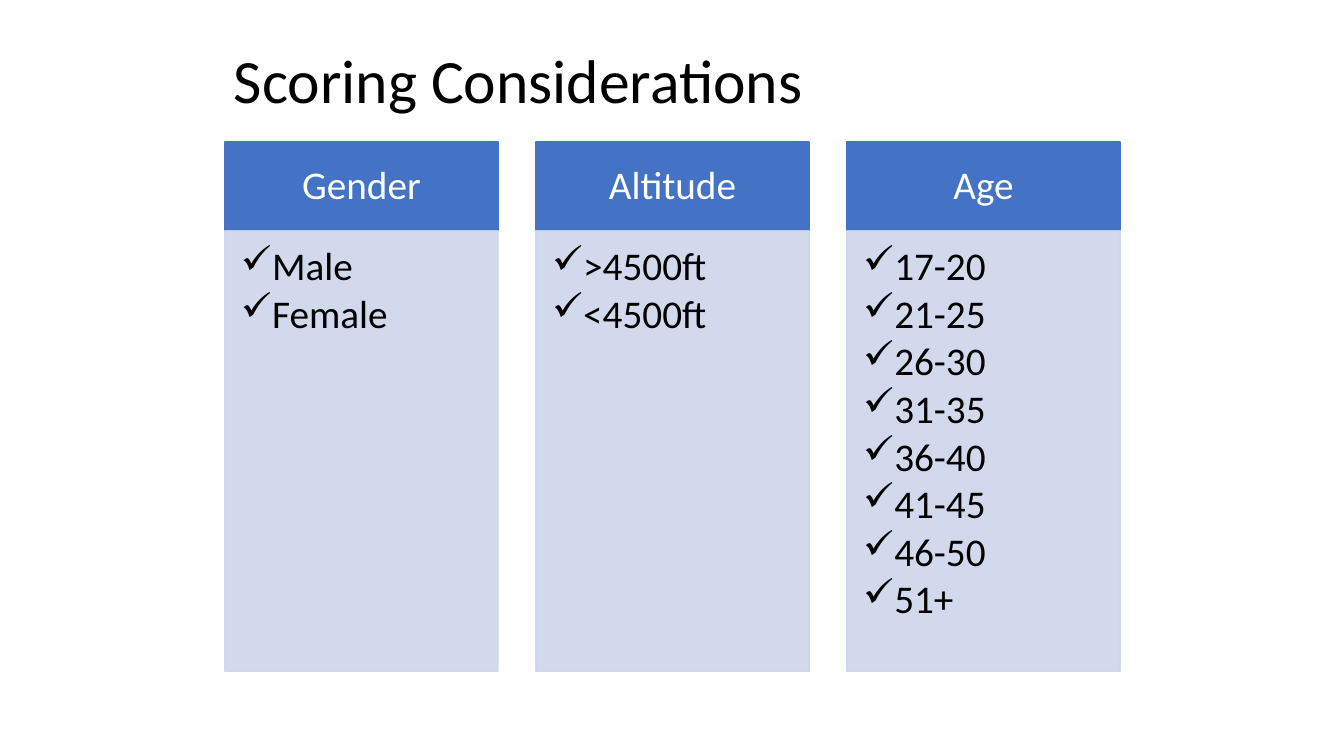
from lxml import etree
from pptx import Presentation
from pptx import util as u
from pptx.dml.color import RGBColor
from pptx.enum import shapes, text
from pptx.oxml.ns import qn

COLOURS = {"header": "4472C4", "body": "CFD5EA", "light": "FFFFFF", "dark": "000000"}

CONSIDERATIONS = {
    "Gender": ["Male", "Female"],
    "Altitude": [">4500ft", "<4500ft"],
    "Age": ["17-20", "21-25", "26-30", "31-35", "36-40", "41-45", "46-50", "51+"],
}

LEFT, RIGHT, TOP = 2.23, 11.11, 1.41
COLUMN_WIDTH, HEADER_HEIGHT, BODY_HEIGHT = 2.71, 0.88, 4.37
INDENT = 0.31


class SlideBuilder:
    font = "Calibri"
    title_size = 44
    text_size = 28

    def __init__(self, slide):
        self.slide = slide

    def colour(self, name):
        return RGBColor.from_string(COLOURS[name])

    def format_runs(self, paragraph, size, colour):
        for run in paragraph.runs:
            run.font.name = self.font
            run.font.size = u.Pt(size)
            run.font.color.rgb = self.colour(colour)

    def title(self, wording, left, top, width, height):
        shape = self.slide.shapes.title
        shape.left, shape.top = u.Inches(left), u.Inches(top)
        shape.width, shape.height = u.Inches(width), u.Inches(height)
        frame = shape.text_frame
        frame.text = wording
        frame.vertical_anchor = text.MSO_ANCHOR.TOP
        frame.auto_size = text.MSO_AUTO_SIZE.SHAPE_TO_FIT_TEXT
        paragraph = frame.paragraphs[0]
        paragraph.alignment = text.PP_ALIGN.LEFT
        self.format_runs(paragraph, self.title_size, "dark")

    def panel(self, left, top, height, fill, lines, colour, margins, space_after):
        shape = self.slide.shapes.add_shape(
            shapes.MSO_SHAPE.RECTANGLE,
            u.Inches(left), u.Inches(top), u.Inches(COLUMN_WIDTH), u.Inches(height),
        )
        shape.shadow.inherit = False
        shape.fill.solid()
        shape.fill.fore_color.rgb = self.colour(fill)
        shape.line.color.rgb = self.colour(fill)
        shape.line.width = u.Pt(1)
        frame = shape.text_frame
        frame.word_wrap = True
        frame.margin_left, frame.margin_top, frame.margin_right, frame.margin_bottom = (
            u.Inches(margin) for margin in margins
        )
        frame.text = "\n".join(lines)
        for paragraph in frame.paragraphs:
            paragraph.line_spacing = 0.9
            paragraph.space_after = u.Pt(space_after)
            self.format_runs(paragraph, self.text_size, colour)
        return shape

    def header(self, left, wording):
        shape = self.panel(left, TOP, HEADER_HEIGHT, "header", [wording], "light",
                           (0.22, 0.12, 0.22, 0.12), 0)
        shape.text_frame.vertical_anchor = text.MSO_ANCHOR.MIDDLE
        shape.text_frame.paragraphs[0].alignment = text.PP_ALIGN.CENTER

    def checklist(self, left, items):
        shape = self.panel(left, TOP + HEADER_HEIGHT, BODY_HEIGHT, "body", items, "dark",
                           (0.16, 0.16, 0.22, 0.24), 3.75)
        shape.text_frame.vertical_anchor = text.MSO_ANCHOR.TOP
        for colour in shape.element.spPr.iter(qn("a:srgbClr")):
            etree.SubElement(colour, qn("a:alpha"), val="90000")
        for paragraph in shape.text_frame.paragraphs:
            paragraph.alignment = text.PP_ALIGN.LEFT
            paragraph.level = 1
            properties = paragraph._p.get_or_add_pPr()
            properties.set("marL", str(u.Inches(INDENT)))
            properties.set("indent", str(-u.Inches(INDENT)))
            etree.SubElement(properties, qn("a:buChar"), char="✓")


presentation = Presentation()
presentation.slide_width = u.Inches(13.33)
presentation.slide_height = u.Inches(7.5)
builder = SlideBuilder(presentation.slides.add_slide(presentation.slide_layouts[5]))

builder.title("Scoring Considerations", 2.22, 0.37, 6.42, 0.84)
step = (RIGHT - LEFT - COLUMN_WIDTH) / (len(CONSIDERATIONS) - 1)
for column, (heading, items) in enumerate(CONSIDERATIONS.items()):
    column_left = LEFT + column * step
    builder.header(column_left, heading)
    builder.checklist(column_left, items)

presentation.save("out.pptx")
